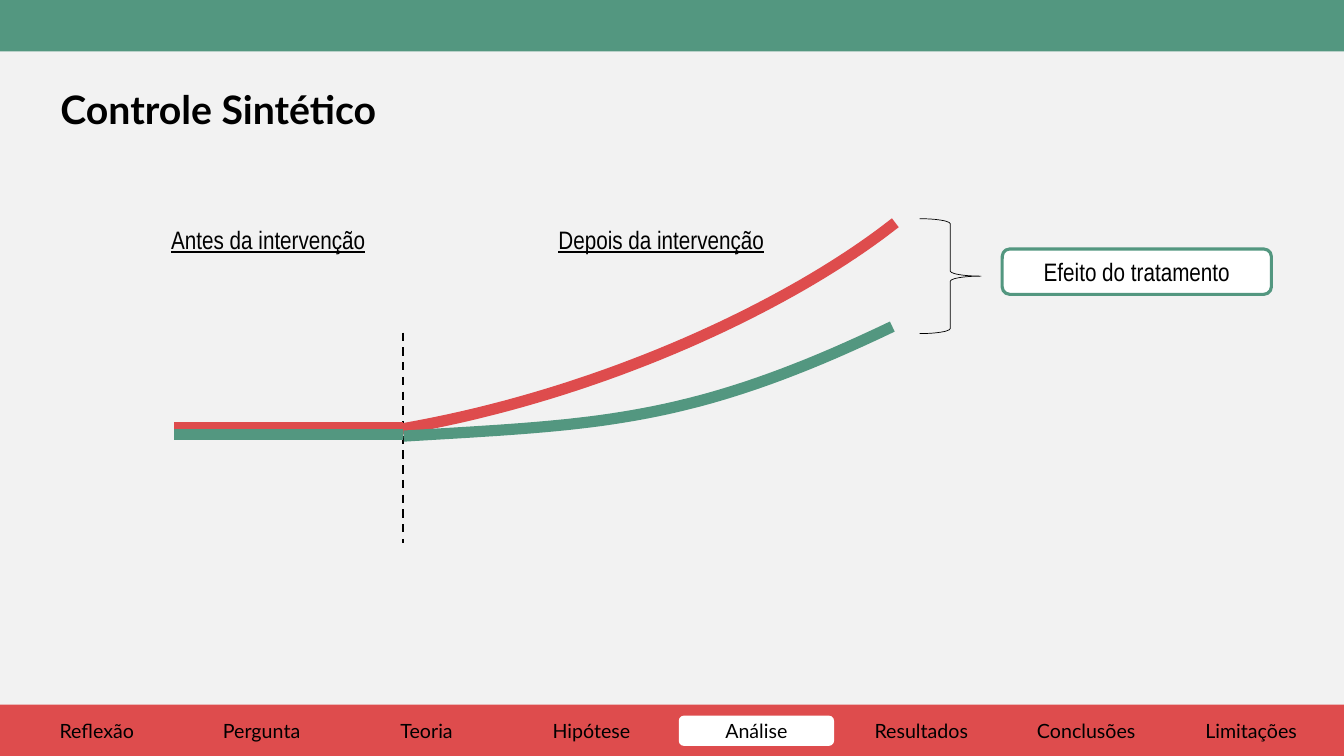
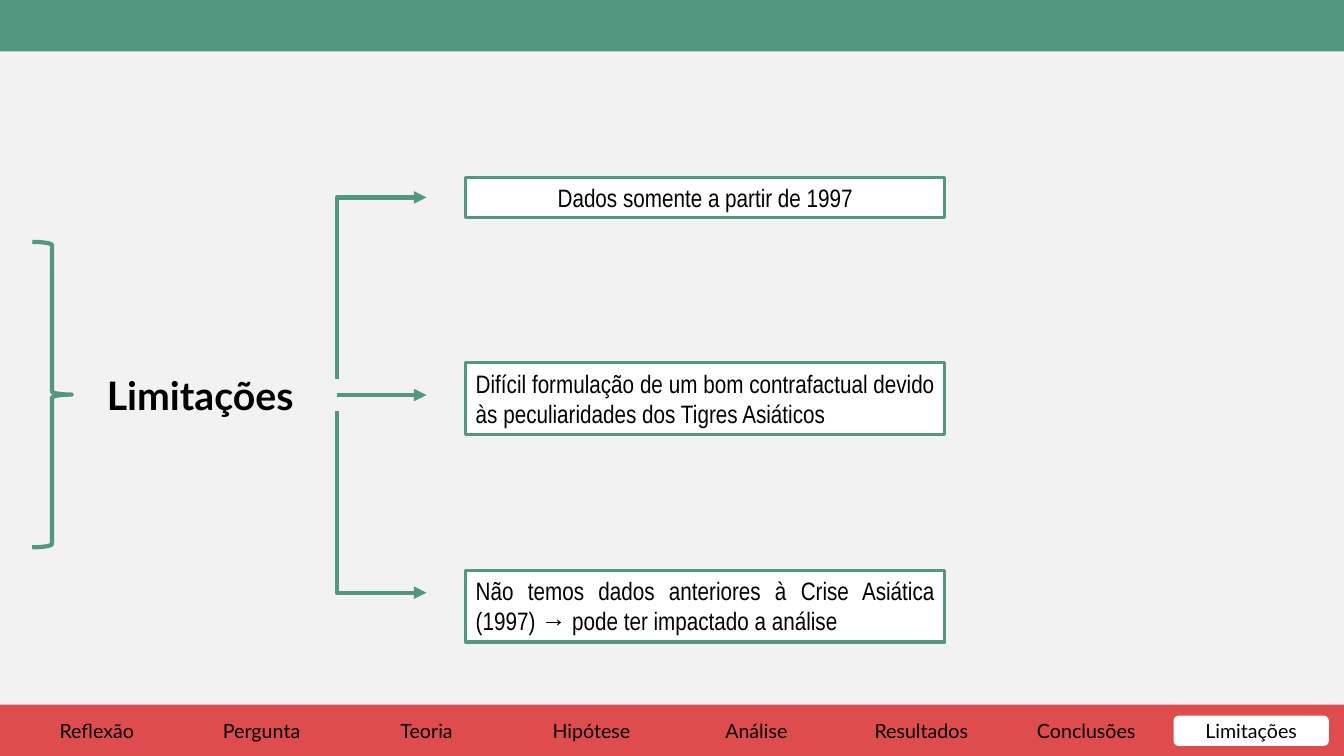
from lxml import etree
from pptx import Presentation
from pptx.dml.color import RGBColor
from pptx.enum import dml, shapes, text as txt
from pptx.oxml import ns
from pptx.util import Inches, Pt

GREEN = RGBColor(0x53, 0x97, 0x80)
RED = RGBColor(0xDE, 0x4C, 0x4D)
WHITE = RGBColor(0xFF, 0xFF, 0xFF)
BLACK = RGBColor(0, 0, 0)
GREY = RGBColor(0xF2, 0xF2, 0xF2)
HEAD_FONT = "Lato"
BODY_FONT = "Arial Narrow"
RECT = shapes.MSO_SHAPE.RECTANGLE
ROUNDED = shapes.MSO_SHAPE.ROUNDED_RECTANGLE
BRACE = shapes.MSO_SHAPE.RIGHT_BRACE
STRAIGHT = shapes.MSO_CONNECTOR.STRAIGHT
ELBOW = shapes.MSO_CONNECTOR.ELBOW
LEFT, CENTER, JUSTIFY = txt.PP_ALIGN.LEFT, txt.PP_ALIGN.CENTER, txt.PP_ALIGN.JUSTIFY
TOP, MIDDLE = txt.MSO_ANCHOR.TOP, txt.MSO_ANCHOR.MIDDLE


def write(shape, words, size=18, font=BODY_FONT, align=LEFT, anchor=TOP,
          bold=False, underline=False, spacing=1.0, inset=0.05):
    frame = shape.text_frame
    frame.word_wrap = True
    frame.auto_size = txt.MSO_AUTO_SIZE.NONE
    frame.vertical_anchor = anchor
    frame.margin_left = frame.margin_right = Inches(0.1)
    frame.margin_top = frame.margin_bottom = Inches(inset)
    paragraph = frame.paragraphs[0]
    paragraph.text = words
    paragraph.alignment = align
    paragraph.line_spacing = spacing
    paragraph.font.size = Pt(size)
    paragraph.font.name = font
    paragraph.font.bold = bold
    paragraph.font.underline = underline
    paragraph.font.color.rgb = BLACK


def paint(shape, fill=None, line=None, width=1, arrow=False):
    if fill is not None:
        shape.fill.solid()
        shape.fill.fore_color.rgb = fill
    elif hasattr(shape, "fill"):
        shape.fill.background()
    if line is None:
        shape.line.fill.background()
    else:
        shape.line.color.rgb = line
        shape.line.width = Pt(width)
    properties = shape.element.spPr
    if arrow:
        etree.SubElement(properties.find(ns.qn("a:ln")), ns.qn("a:tailEnd"), type="triangle")
    etree.SubElement(properties, ns.qn("a:effectLst"))


prs = Presentation()
prs.slide_width = Inches(13.33)
prs.slide_height = Inches(7.5)
prs.slide_master.background.fill.solid()
prs.slide_master.background.fill.fore_color.rgb = GREY

STEPS = ["Reflexão", "Pergunta", "Teoria", "Hipótese",
         "Análise", "Resultados", "Conclusões", "Limitações"]
pages = [
    ("Controle Sintético", "Análise", (0.5, 0.8, 9.1, 0.63), 0.9, 0.1),
    ("Limitações", "Limitações", (0.96, 3.63, 2.23, 0.57), 1.0, 0.05),
]
slides = []
for heading, current, place, spacing, inset in pages:
    slide = prs.slides.add_slide(prs.slide_layouts[5])
    slides.append(slide)
    for top, colour in ((0, GREEN), (6.99, RED)):
        band = slide.shapes.add_shape(RECT, 0, Inches(top), prs.slide_width, Inches(0.51))
        paint(band, colour)
    for index, step in enumerate(STEPS):
        tab = slide.shapes.add_shape(ROUNDED, Inches(0.19 + index * 11.45 / 7), Inches(7.1),
                                     Inches(1.54), Inches(0.3))
        paint(tab, WHITE if step == current else RED)
        write(tab, step, size=14, font=HEAD_FONT, align=CENTER, anchor=MIDDLE)
    title = slide.shapes.title
    title.left, title.top, title.width, title.height = map(Inches, place)
    write(title, heading, size=28, font=HEAD_FONT, bold=True, spacing=spacing, inset=inset)

synthetic, limits = (slide.shapes for slide in slides)

for period, left, width in (("Antes da intervenção", 1.6, 2.4),
                            ("Depois da intervenção", 5.44, 2.91)):
    label = synthetic.add_textbox(Inches(left), Inches(2.18), Inches(width), Inches(0.4))
    write(label, period, underline=True)

intervention = synthetic.add_connector(STRAIGHT, Inches(4), Inches(3.3), Inches(4), Inches(5.39))
paint(intervention, line=BLACK, width=1.5)
intervention.line.dash_style = dml.MSO_LINE.DASH

trends = [
    (RED, 4.24, 0.22, ((2.27, 4.41), (4.88, 4.41), (7.56, 3.25), (8.88, 2.21))),
    (GREEN, 4.31, 0.13, ((3.07, 4.39), (5.67, 4.19), (6.54, 4.35), (8.85, 3.24))),
]
SAMPLES = 40
for colour, level, start, controls in trends:
    points = []
    for sample in range(SAMPLES + 1):
        t = start + (1 - start) * sample / SAMPLES
        weights = ((1 - t) ** 3, 3 * t * (1 - t) ** 2, 3 * t ** 2 * (1 - t), t ** 3)
        points.append([Inches(sum(w * c for w, c in zip(weights, axis)))
                       for axis in zip(*controls)])
    builder = synthetic.build_freeform(*points[0])
    builder.add_line_segments(points[1:], close=False)
    paint(builder.convert_to_shape(), line=colour, width=8)
    before = synthetic.add_connector(STRAIGHT, Inches(1.73), Inches(level),
                                     Inches(4), Inches(level))
    paint(before, line=colour, width=8)

gap_brace = synthetic.add_shape(BRACE, Inches(9.12), Inches(2.17), Inches(0.61), Inches(1.14))
paint(gap_brace, line=BLACK, width=0.5)
effect = synthetic.add_shape(ROUNDED, Inches(9.94), Inches(2.47), Inches(2.67), Inches(0.45))
paint(effect, WHITE, GREEN, 2.25)
write(effect, "Efeito do tratamento", align=CENTER)

limits_brace = limits.add_shape(BRACE, Inches(0.32), Inches(2.4), Inches(0.39), Inches(3.03))
paint(limits_brace, line=GREEN, width=3)

limitations = [
    ("Dados somente a partir de 1997", 1.76, 0.4, CENTER, ELBOW, 3.76, 1.96),
    ("Difícil formulação de um bom contrafactual devido às peculiaridades dos Tigres Asiáticos",
     3.6, 0.71, JUSTIFY, STRAIGHT, 3.92, 3.92),
    ("Não temos dados anteriores à Crise Asiática (1997) → pode ter impactado a análise",
     5.66, 0.71, JUSTIFY, ELBOW, 4.08, 5.88),
]
for limitation, top, height, align, route, start, end in limitations:
    box = limits.add_shape(RECT, Inches(4.62), Inches(top), Inches(4.75), Inches(height))
    paint(box, WHITE, GREEN, 2.25)
    write(box, limitation, align=align)
    branch = limits.add_connector(route, Inches(3.34), Inches(start), Inches(4.23), Inches(end))
    paint(branch, line=GREEN, width=3, arrow=True)
    if route == ELBOW:
        bends = branch.element.spPr.find(ns.qn("a:prstGeom")).get_or_add_avLst()
        etree.SubElement(bends, ns.qn("a:gd"), name="adj1", fmla="val 0")

prs.save("out.pptx")
